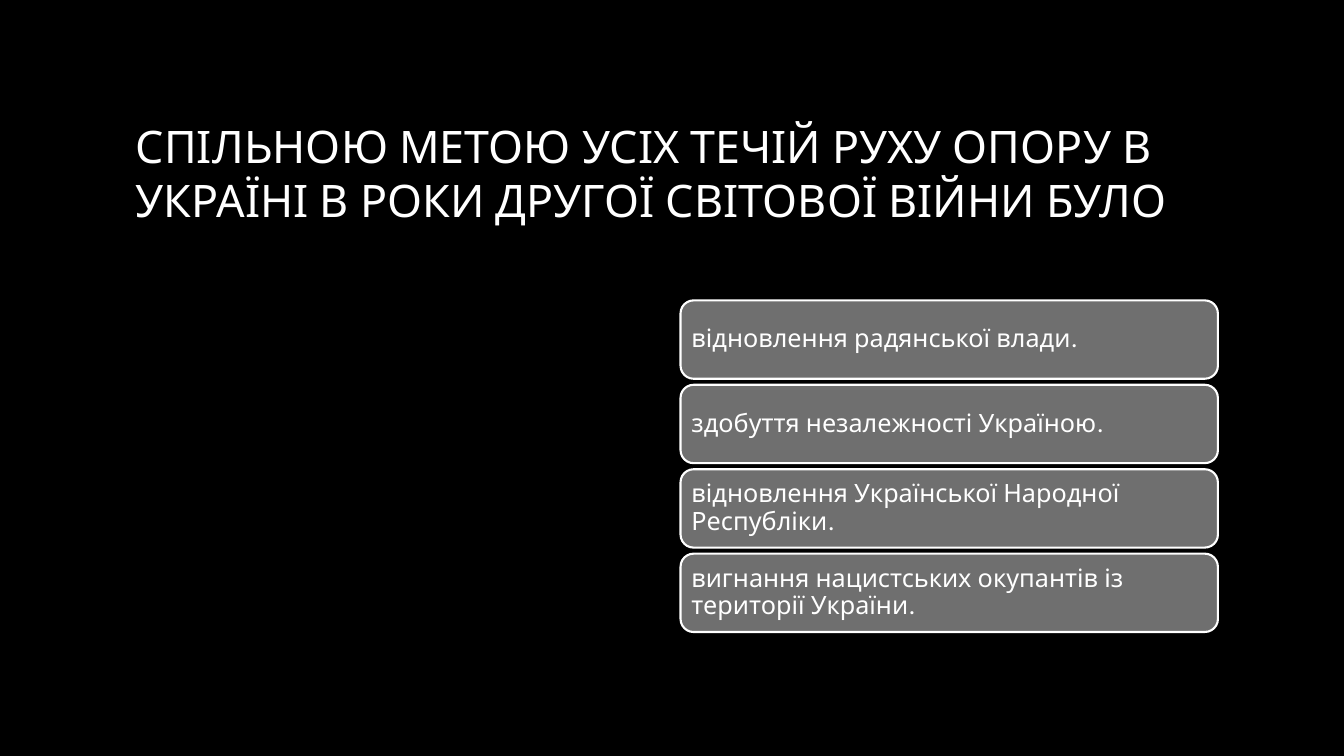
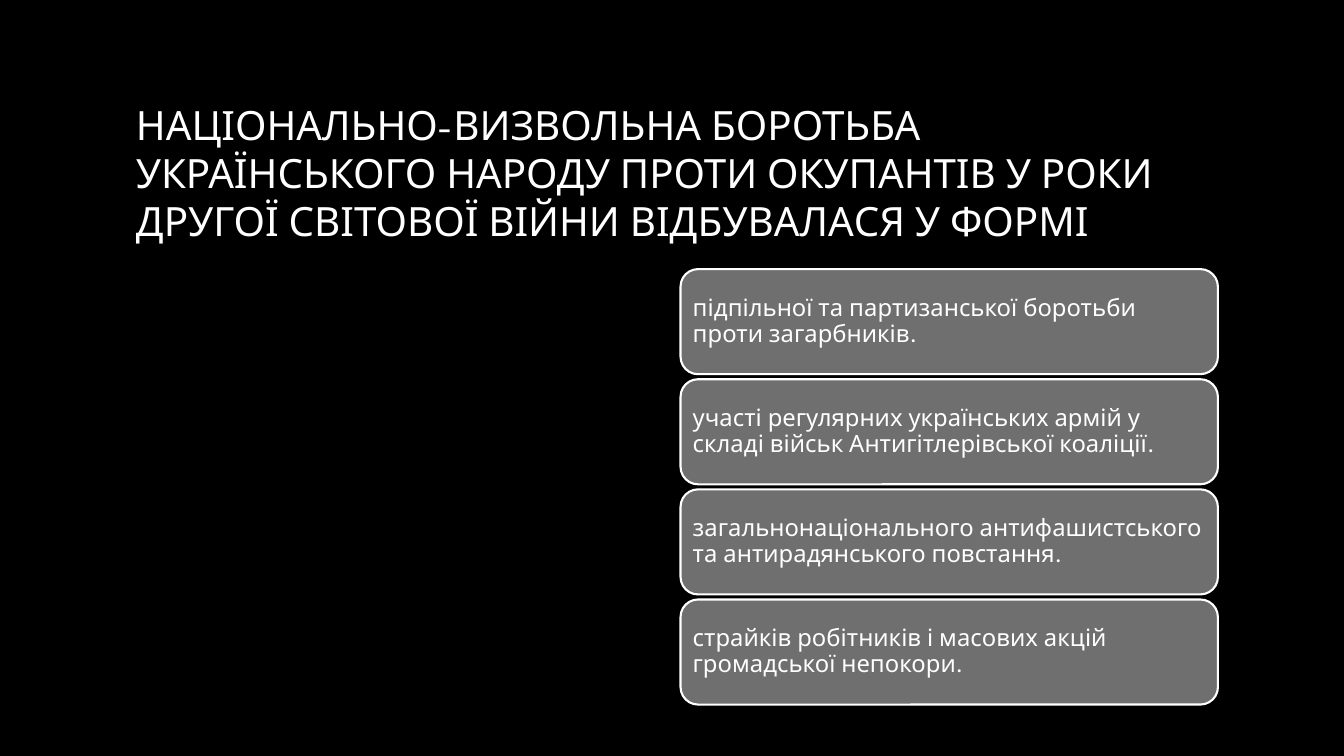
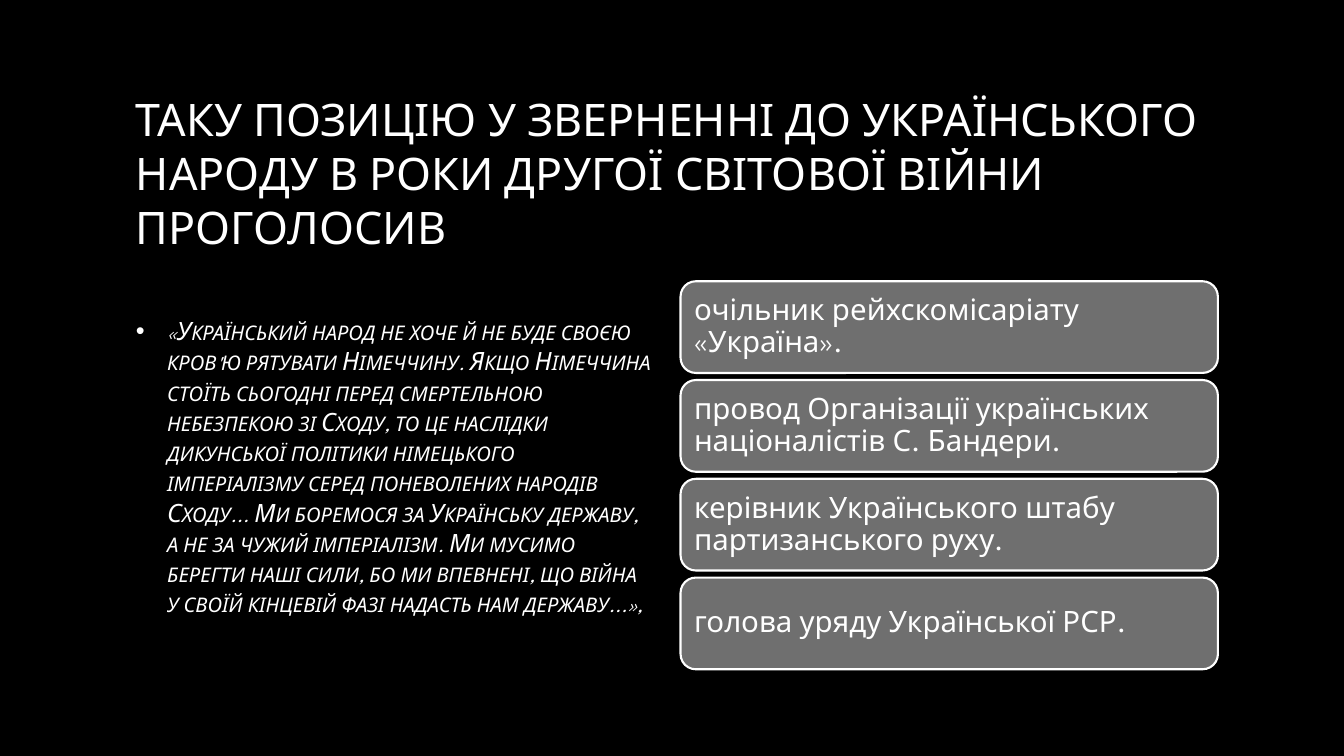
from lxml import etree
from pptx import Presentation
from pptx import util as u
from pptx.dml.color import RGBColor
from pptx.enum import shapes, text
from pptx.oxml.ns import qn

FONT = "League Spartan"
BLACK, WHITE, GRAY = "000000", "FFFFFF", "6F6F6F"
TITLE_BOX = (1.25, 0.67, 10.83, 2.08)
QUOTE_BOX = (1.25, 2.92, 5.33, 3.42)
ANSWER_LEFT, ANSWER_WIDTH = 6.75, 5.33


def color(value):
    return RGBColor.from_string(value)


def inches(box):
    return [u.Inches(v) for v in box]


def write(sp, words, size):
    tf = sp.text_frame
    tf.word_wrap = True
    tf.vertical_anchor = text.MSO_ANCHOR.MIDDLE
    p = tf.paragraphs[0]
    p.alignment = text.PP_ALIGN.LEFT
    r = p.add_run()
    r.text = words
    r.font.name = FONT
    r.font.size = u.Pt(size)
    r.font.color.rgb = color(WHITE)
    return p, r


def add_title(s, box, words, size):
    write(s.shapes.add_textbox(*inches(box)), words, size)


def add_quote(s, box, words, size):
    p, r = write(s.shapes.add_textbox(*inches(box)), words, size)
    pPr = p._p.get_or_add_pPr()
    pPr.set("marL", str(u.Inches(0.31)))
    pPr.set("indent", str(u.Inches(-0.31)))
    bullet_color = etree.SubElement(pPr, qn("a:buClr"))
    etree.SubElement(bullet_color, qn("a:srgbClr"), val=WHITE)
    etree.SubElement(pPr, qn("a:buFont"), typeface="Arial")
    etree.SubElement(pPr, qn("a:buChar"), char="•")
    r.font.italic = True
    r._r.get_or_add_rPr().set("cap", "small")


def add_answers(s, box, answers, size, gap, inset):
    left, top, width, height = box
    row = (height - gap * (len(answers) - 1)) / len(answers)
    for i, answer in enumerate(answers):
        place = inches((left, top + i * (row + gap), width, row))
        sp = s.shapes.add_shape(shapes.MSO_SHAPE.ROUNDED_RECTANGLE, *place)
        sp.shadow.inherit = False
        sp.fill.solid()
        sp.fill.fore_color.rgb = color(GRAY)
        sp.line.color.rgb = color(WHITE)
        sp.line.width = u.Pt(1.5)
        tf = sp.text_frame
        tf.margin_left = tf.margin_right = u.Inches(inset)
        tf.margin_top = tf.margin_bottom = u.Inches(inset)
        p, r = write(sp, answer, size)
        p.line_spacing = 0.9


def add_question(prs, title, title_size, answers, size, top, height, gap, inset, quote=None):
    s = prs.slides.add_slide(prs.slide_layouts[6])
    s.background.fill.solid()
    s.background.fill.fore_color.rgb = color(BLACK)
    add_title(s, TITLE_BOX, title, title_size)
    if quote:
        add_quote(s, QUOTE_BOX, quote, 18)
    add_answers(s, (ANSWER_LEFT, top, ANSWER_WIDTH, height), answers, size, gap, inset)


QUESTIONS = [
    dict(
        title="СПІЛЬНОЮ МЕТОЮ УСІХ ТЕЧІЙ РУХУ ОПОРУ В УКРАЇНІ В РОКИ ДРУГОЇ СВІТОВОЇ ВІЙНИ БУЛО",
        title_size=32,
        answers=[
            "відновлення радянської влади.",
            "здобуття незалежності Україною.",
            "відновлення Української Народної Республіки.",
            "вигнання нацистських окупантів із території України.",
        ],
        size=18, top=2.98, height=3.29, gap=0.06, inset=0.07,
    ),
    dict(
        title="НАЦІОНАЛЬНО-ВИЗВОЛЬНА БОРОТЬБА УКРАЇНСЬКОГО НАРОДУ ПРОТИ ОКУПАНТІВ "
              "У РОКИ ДРУГОЇ СВІТОВОЇ ВІЙНИ ВІДБУВАЛАСЯ У ФОРМІ",
        title_size=28.8,
        answers=[
            "підпільної та партизанської боротьби проти загарбників.",
            "участі регулярних українських армій у складі військ Антигітлерівської коаліції.",
            "загальнонаціонального антифашистського та антирадянського повстання.",
            "страйків робітників і масових акцій громадської непокори.",
        ],
        size=17, top=2.67, height=4.32, gap=0.05, inset=0.07,
    ),
    dict(
        title="ТАКУ ПОЗИЦІЮ У ЗВЕРНЕННІ ДО УКРАЇНСЬКОГО НАРОДУ В РОКИ ДРУГОЇ СВІТОВОЇ ВІЙНИ ПРОГОЛОСИВ",
        title_size=32,
        answers=[
            "очільник рейхскомісаріату «Україна».",
            "провод Організації українських націоналістів С. Бандери.",
            "керівник Українського штабу партизанського руху.",
            "голова уряду Української РСР.",
        ],
        size=21, top=2.79, height=3.85, gap=0.07, inset=0.09,
        quote="«Український народ не хоче й не буде своєю кров'ю рятувати Німеччину. "
              "Якщо Німеччина стоїть сьогодні перед смертельною небезпекою зі Сходу, "
              "то це наслідки дикунської політики німецького імперіалізму серед "
              "поневолених народів Сходу... Ми боремося за Українську державу, "
              "а не за чужий імперіалізм. Ми мусимо берегти наші сили, бо ми впевнені, "
              "що війна у своїй кінцевій фазі надасть нам державу...»,",
    ),
]


def main():
    prs = Presentation()
    prs.slide_width, prs.slide_height = inches((13.33, 7.5))
    for question in QUESTIONS:
        add_question(prs, **question)
    prs.save("out.pptx")


if __name__ == "__main__":
    main()
